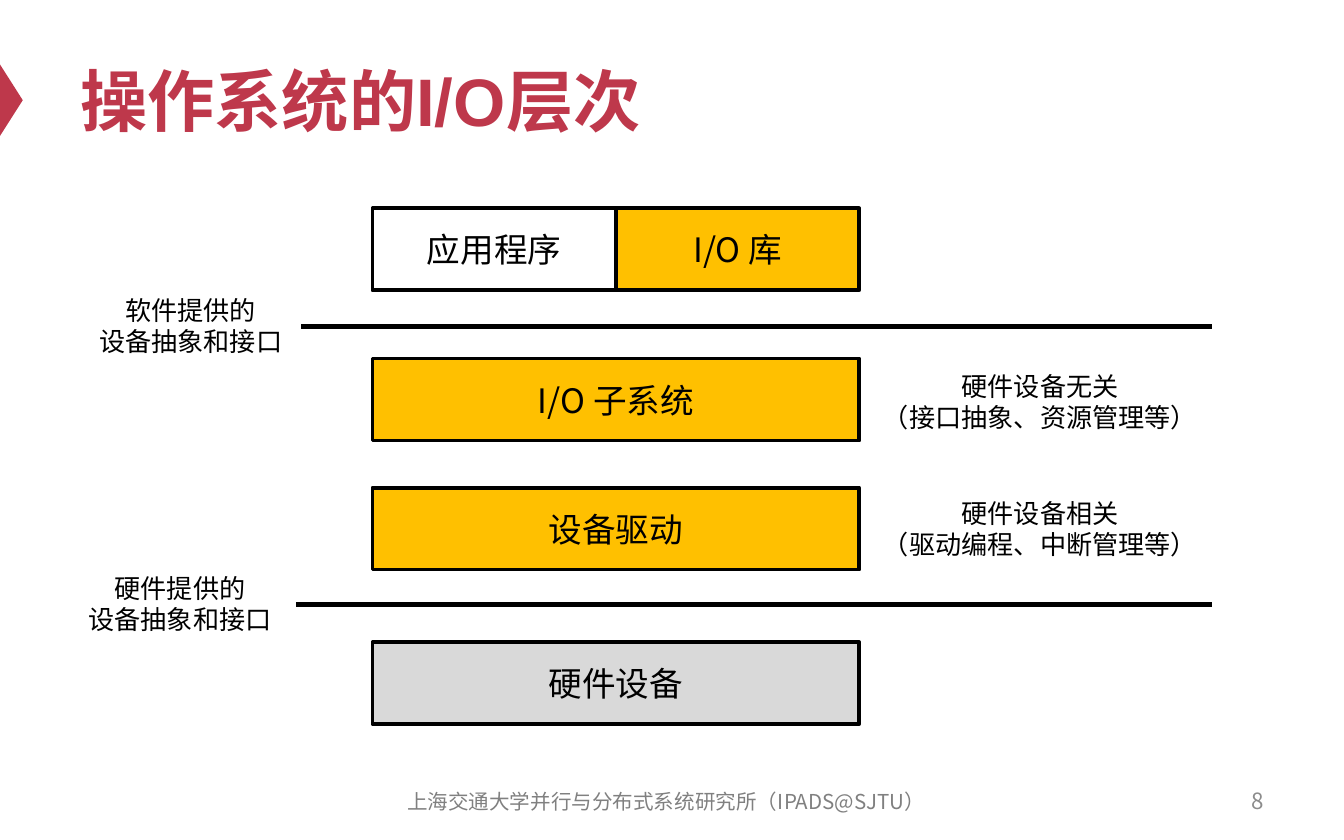
import dataclasses

import pptx
import pptx.dml.color
import pptx.enum.shapes
import pptx.enum.text
import pptx.oxml.ns
import pptx.util
from lxml import etree

Cm = pptx.util.Cm
ALIGN = pptx.enum.text.PP_ALIGN
ANCHOR = pptx.enum.text.MSO_ANCHOR
SHAPE = pptx.enum.shapes.MSO_SHAPE
SANS = "Noto Sans CJK SC"
RED, BLACK, YELLOW, GREY = "BE384B", "000000", "FFC000", "D9D9D9"
STACK_LEFT, STACK_WIDTH, BOX_HEIGHT = 7.04, 9.2, 1.55
LINE_RIGHT = 22.91


@dataclasses.dataclass
class Layer:
    text: str
    top: float
    fill: str | None = YELLOW
    column: int = 0
    columns: int = 1


@dataclasses.dataclass
class Text:
    text: str
    left: float
    top: float
    width: float
    height: float = 1.45
    size: int = 14
    font: str = "Arial"
    color: str = BLACK
    bold: bool = False
    align: ALIGN = ALIGN.CENTER
    anchor: ANCHOR = ANCHOR.TOP
    wrap: bool = False


@dataclasses.dataclass
class Boundary:
    left: float
    y: float


LAYERS = [
    Layer("应用程序", 3.94, None, 0, 2),
    Layer("I/O 库", 3.94, YELLOW, 1, 2),
    Layer("I/O 子系统", 6.78),
    Layer("设备驱动", 9.22),
    Layer("硬件设备", 12.14, GREY),
]

TEXTS = [
    Text("操作系统的I/O层次", 1.27, 0.64, 22.86, 2.49, 36, color=RED, bold=True,
         align=ALIGN.LEFT, anchor=ANCHOR.MIDDLE, wrap=True),
    Text("8", 18.21, 14.71, 5.92, 0.84, 12, SANS, "8C8C8C",
         align=ALIGN.RIGHT, anchor=ANCHOR.MIDDLE, wrap=True),
    Text("上海交通大学并行与分布式系统研究所（IPADS@SJTU）", 7.09, 14.73, 11, 0.84, 11,
         SANS, "808080", anchor=ANCHOR.MIDDLE, wrap=True),
    Text("硬件设备无关\n（接口抽象、资源管理等）", 16.41, 6.88, 6.5),
    Text("硬件设备相关\n（驱动编程、中断管理等）", 16.41, 9.27, 6.5),
    Text("软件提供的\n设备抽象和接口", 1.6, 5.44, 4.01),
    Text("硬件提供的\n设备抽象和接口", 1.4, 10.69, 4.01),
]

BOUNDARIES = [Boundary(5.69, 6.17), Boundary(5.59, 11.43)]


def rgb(value: str) -> pptx.dml.color.RGBColor:
    return pptx.dml.color.RGBColor.from_string(value)


def format_text(tf, size: int, font: str, color: str, align: ALIGN, bold: bool = False) -> None:
    for p in tf.paragraphs:
        p.alignment = align
        for r in p.runs:
            r.font.size = pptx.util.Pt(size)
            r.font.name = font
            r.font.bold = bold
            r.font.color.rgb = rgb(color)
            ea = etree.SubElement(r.font._element, pptx.oxml.ns.qn("a:ea"))
            ea.set("typeface", font)


def add_marker(s) -> None:
    sp = s.shapes.add_shape(SHAPE.ISOSCELES_TRIANGLE, Cm(-0.46), Cm(1.68), Cm(1.35), Cm(0.43))
    sp.rotation = 90
    sp.shadow.inherit = False
    sp.fill.solid()
    sp.fill.fore_color.rgb = rgb(RED)
    sp.line.fill.background()


def add_layer(s, layer: Layer) -> None:
    width = STACK_WIDTH / layer.columns
    sp = s.shapes.add_shape(SHAPE.RECTANGLE, Cm(STACK_LEFT + layer.column * width),
                            Cm(layer.top), Cm(width), Cm(BOX_HEIGHT))
    sp.shadow.inherit = False
    if layer.fill:
        sp.fill.solid()
        sp.fill.fore_color.rgb = rgb(layer.fill)
    else:
        sp.fill.background()
    sp.line.color.rgb = rgb(BLACK)
    sp.line.width = pptx.util.Pt(2)
    tf = sp.text_frame
    tf.text = layer.text
    tf.vertical_anchor = ANCHOR.MIDDLE
    format_text(tf, 18, SANS, BLACK, ALIGN.CENTER)


def add_text(s, text: Text) -> None:
    sp = s.shapes.add_textbox(Cm(text.left), Cm(text.top), Cm(text.width), Cm(text.height))
    tf = sp.text_frame
    tf.text = text.text
    tf.word_wrap = text.wrap
    tf.vertical_anchor = text.anchor
    if not text.wrap:
        tf.auto_size = pptx.enum.text.MSO_AUTO_SIZE.SHAPE_TO_FIT_TEXT
    format_text(tf, text.size, text.font, text.color, text.align, text.bold)


def add_boundary(s, boundary: Boundary) -> None:
    line = s.shapes.add_connector(pptx.enum.shapes.MSO_CONNECTOR.STRAIGHT, Cm(boundary.left),
                                  Cm(boundary.y), Cm(LINE_RIGHT), Cm(boundary.y))
    line.line.color.rgb = rgb(BLACK)
    line.line.width = pptx.util.Pt(3)
    etree.SubElement(line._element.spPr, pptx.oxml.ns.qn("a:effectLst"))


def main() -> None:
    """Build the slide on the I/O layers of an operating system."""
    prs = pptx.Presentation()
    prs.slide_width, prs.slide_height = Cm(25.4), Cm(15.88)
    s = prs.slides.add_slide(prs.slide_layouts[6])
    add_marker(s)
    for text in TEXTS:
        add_text(s, text)
    for layer in LAYERS:
        add_layer(s, layer)
    for boundary in BOUNDARIES:
        add_boundary(s, boundary)
    prs.save("out.pptx")


if __name__ == "__main__":
    main()
